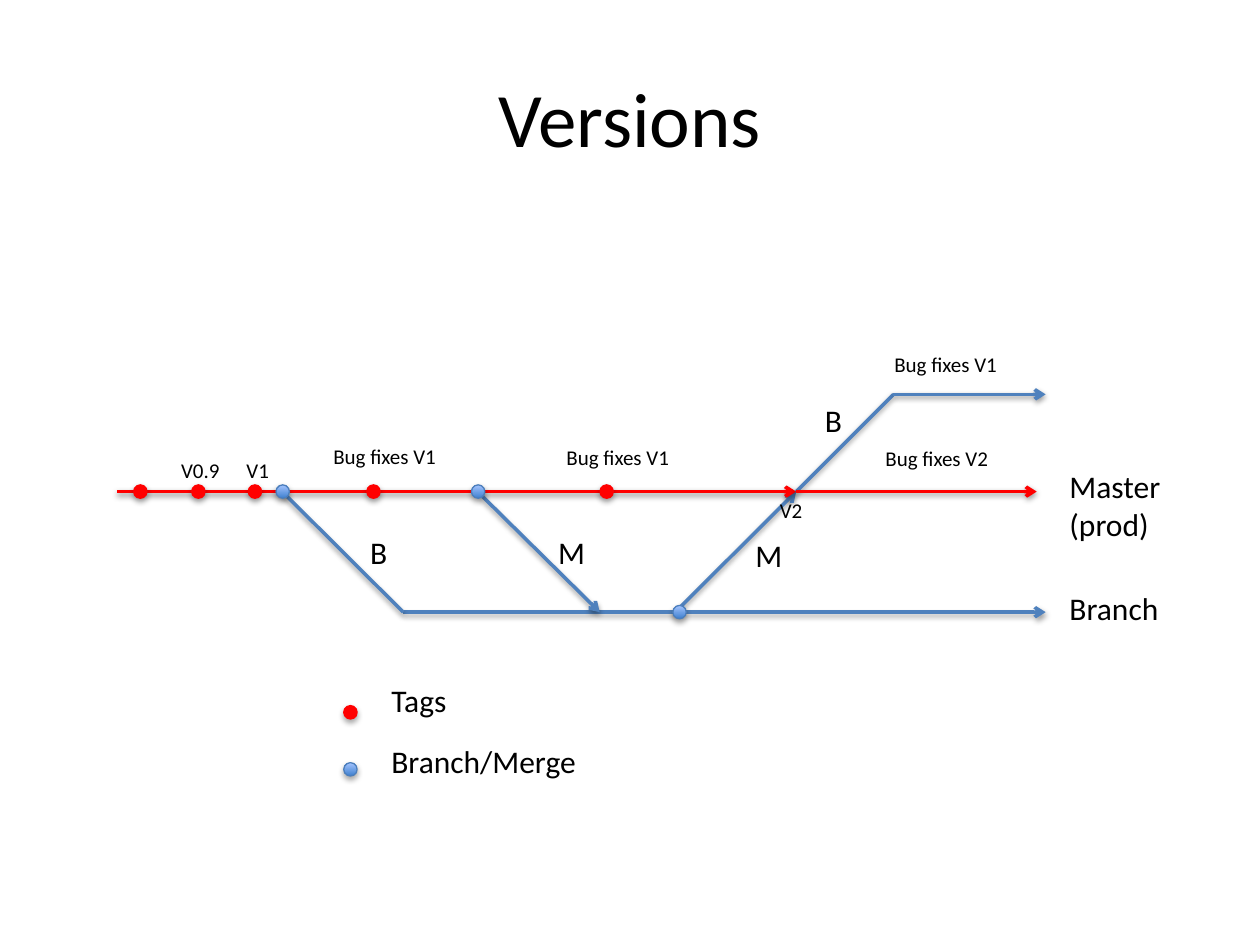
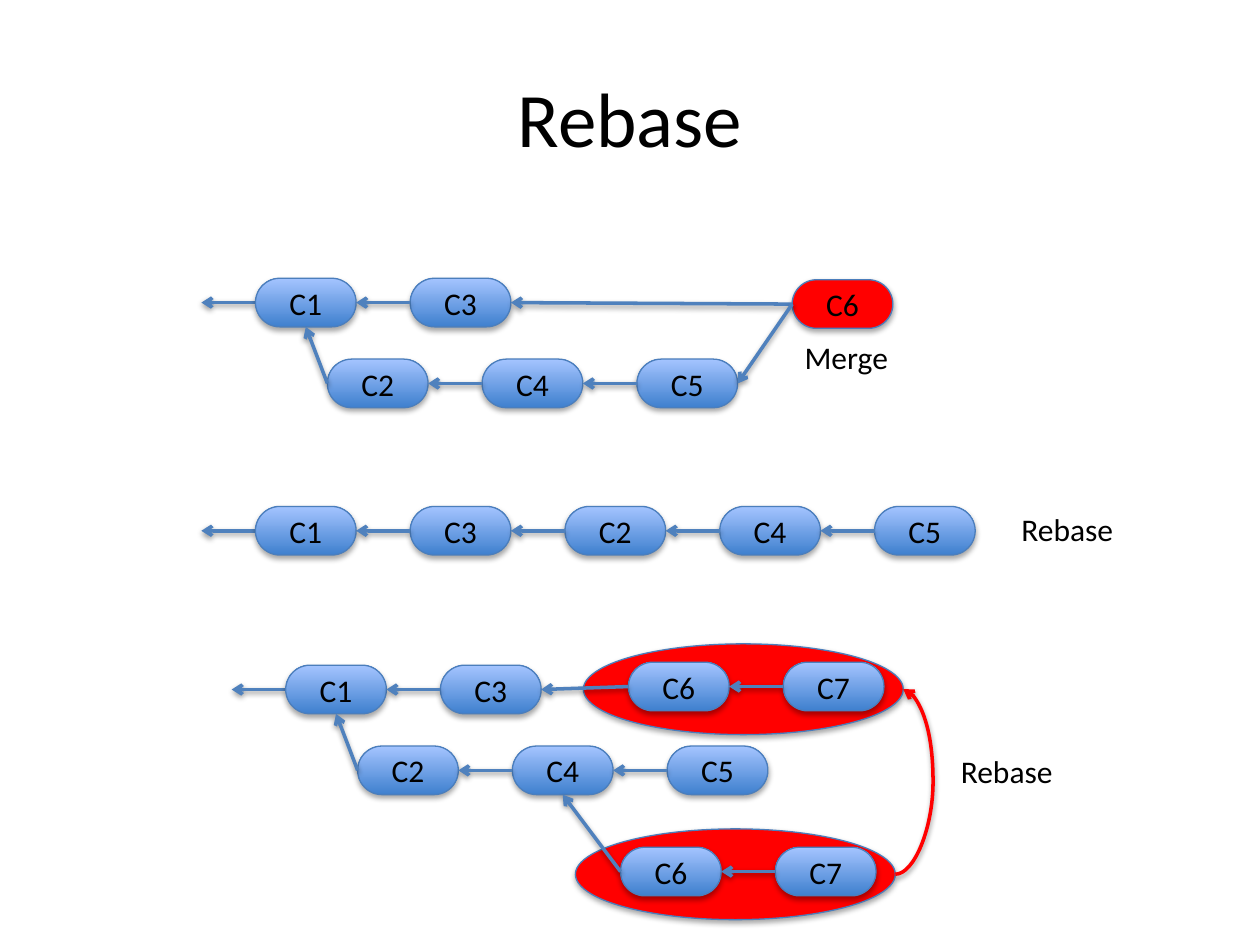
from lxml import etree
from pptx import Presentation
from pptx import util as u
from pptx.dml.color import RGBColor
from pptx.enum import shapes, text
from pptx.oxml.ns import qn

RED, BLUE, EDGE, BLACK = "FF0000", "4F81BD", "4B7EBC", "000000"
DARK, LIGHT = "3F80CE", "A4C4FF"
FONT = "Calibri"
DOT = 0.27
PILL_W, PILL_H, STEP, STUB = 2.03, 0.98, 3.12, 1.09
OVAL_W, OVAL_H = 6.45, 1.83
TOP, LEFT, BOTTOM, RIGHT = range(4)
SHAPE, LINE = shapes.MSO_SHAPE, shapes.MSO_CONNECTOR


def rgb(value):
    """Turn a hex string into a colour."""
    return RGBColor.from_string(value)


def cm(*values):
    """Turn centimetre numbers into lengths."""
    return [u.Cm(v) for v in values]


def child(parent, tag, **attrs):
    """Append a drawing element with its attributes."""
    return etree.SubElement(parent, qn("a:" + tag), {k: str(v) for k, v in attrs.items()})


def add_shadow(effects, distance, alpha):
    """Fill an effect list with one soft shadow below the object."""
    shadow = child(effects, "outerShdw", blurRad=40000, dist=distance, dir=5400000, rotWithShape=0)
    child(child(shadow, "srgbClr", val=BLACK), "alpha", val=alpha * 1000)


def write(tf, content, size, align=None, anchor=None):
    """Write the lines of a text in the shared font."""
    tf.text = content
    if anchor is not None:
        tf.vertical_anchor = anchor
    for p in tf.paragraphs:
        p.alignment = align
        for r in p.runs:
            for name, value in {"size": u.Pt(size), "name": FONT}.items():
                setattr(r.font, name, value)
            r.font.color.rgb = rgb(BLACK)


def label(s, content, x, y, w, size=18, wrap=True):
    """Place a text box sized by its number of lines."""
    lines = content.count("\n") + 1
    tf = s.shapes.add_textbox(*cm(x, y, w, 0.25 + lines * size * 0.0425)).text_frame
    tf.word_wrap = wrap
    write(tf, content, size)


def shape(s, kind, x, y, w, h, fill=None, edge=EDGE):
    """Place a shadowed shape, with the blue gradient unless a fill is named."""
    sp = s.shapes.add_shape(kind, *cm(x, y, w, h))
    if fill:
        sp.fill.solid()
        sp.fill.fore_color.rgb = rgb(fill)
    else:
        sp.fill.gradient()
        sp.fill.gradient_angle = 90
        for stop, colour in zip(sp.fill.gradient_stops, (DARK, LIGHT)):
            stop.color.rgb = rgb(colour)
    sp.line.color.rgb = rgb(edge)
    sp.line.width = u.Pt(0.75)
    sp.shadow.inherit = False
    add_shadow(sp._element.spPr.find(qn("a:effectLst")), 23000, 35)
    return sp


def line(s, start, end, colour=BLUE, head=True, kind=LINE.STRAIGHT):
    """Draw a shadowed connector, with an arrowhead at its end if asked."""
    c = s.shapes.add_connector(kind, *cm(*start, *end))
    c.line.color.rgb = rgb(colour)
    c.line.width = u.Pt(2)
    spPr = c._element.spPr
    if head:
        child(spPr.find(qn("a:ln")), "tailEnd", type="arrow")
    add_shadow(child(spPr, "effectLst"), 20000, 38)
    return c


def link(s, a, a_site, b, b_site):
    """Glue an arrow from one shape to another."""
    c = line(s, (0, 0), (1, 1))
    c.begin_connect(a, a_site)
    c.end_connect(b, b_site)


def dot(s, x, y, is_tag):
    """Centre a red tag dot or a blue branch dot on a point."""
    colours = (RED, RED) if is_tag else (None, EDGE)
    shape(s, SHAPE.OVAL, x - DOT / 2, y - DOT / 2, DOT, DOT, *colours)


def pill(s, name, x, y, fill=None):
    """Place one commit."""
    sp = shape(s, SHAPE.ROUNDED_RECTANGLE, x, y, PILL_W, PILL_H, fill)
    sp.adjustments[0] = 0.5
    write(sp.text_frame, name, 18, text.PP_ALIGN.CENTER, text.MSO_ANCHOR.MIDDLE)
    return sp


def chain(s, names, x, y):
    """Place a row of commits, each pointing at the one before it."""
    pills = [pill(s, name, x + i * STEP, y) for i, name in enumerate(names)]
    for older, newer in zip(pills, pills[1:]):
        link(s, newer, LEFT, older, RIGHT)
    return pills


def trunk(s, names, x, y):
    """Place a row of commits that continues to the left."""
    mid = y + PILL_H / 2
    line(s, (x + STUB, mid), (x, mid))
    return chain(s, names, x + STUB, y)


def fork(s, x, y):
    """Place a trunk and the branch that leaves its first commit."""
    main = trunk(s, ["C1", "C3"], x, y)
    branch = chain(s, ["C2", "C4", "C5"], x + STUB + 1.45, y + 1.63)
    link(s, branch[0], LEFT, main[0], BOTTOM)
    return main, branch


def batch(s, x, y):
    """Place the oval that holds the rebased commits."""
    shape(s, SHAPE.OVAL, x, y, OVAL_W, OVAL_H, RED)
    return chain(s, ["C6", "C7"], x + 0.91, y + 0.37)


def timeline(s, x, y):
    """Draw the master line, its branches, their dots and labels."""
    hotfix, master, branch = y + 0.99, y + 2.95, y + 5.38
    for x1, y1, x2, y2, colour, head in [
        (11.25, branch, 13.69, master, BLUE, True),
        (0, master, 13.69, master, RED, True),
        (5.77, branch, 18.72, branch, BLUE, True),
        (7.37, master + 0.1, 9.73, branch, BLUE, True),
        (5.77, branch, 3.33, master, BLUE, False),
        (13.69, master, 15.65, hotfix, BLUE, False),
        (15.65, hotfix, 18.72, hotfix, BLUE, True),
        (13.69, master, 18.54, master, RED, True),
    ]:
        line(s, (x + x1, y1), (x + x2, y2), colour, head)
    for dx in (0.47, 1.64, 2.78, 5.17, 9.87):
        dot(s, x + dx, master, True)
    for dx, level in ((3.34, master), (7.28, master), (11.34, branch)):
        dot(s, x + dx, level, False)
    for content, dx, dy, w in [
        ("V0.9", 1.04, 2.13, 1.47), ("V1", 2.36, 2.13, 1.17), ("V2", 13.11, 2.95, 1.17),
        ("Bug fixes V1", 4.11, 1.85, 3.3), ("Bug fixes V1", 8.81, 1.88, 3.3),
        ("Bug fixes V1", 15.42, 0, 3.3), ("Bug fixes V2", 15.24, 1.9, 3.3),
    ]:
        label(s, content, x + dx, y + dy, w, size=12)
    for content, dx, dy in [("B", 4.85, 3.66), ("B", 14.02, 0.99),
                            ("M", 8.64, 3.66), ("M", 12.62, 3.73)]:
        label(s, content, x + dx, y + dy, 0.86 if content == "B" else 1.07, wrap=False)
    label(s, "Master\n(prod)", x + 18.95, y + 2.34, 2.82)
    label(s, "Branch", x + 18.95, y + 4.78, 2.82)


def legend(s, x, y):
    """Explain the two kinds of dot."""
    for i, (content, w) in enumerate([("Tags", 1.96), ("Branch/Merge", 5.1)]):
        dot(s, x + DOT / 2, y + 0.75 + i * 1.15, i == 0)
        label(s, content, x + 0.71, y + i * 1.22, w)


def merge_history(s, x, y):
    """Show a branch joined by a merge commit."""
    main, branch = fork(s, x, y)
    merged = pill(s, "C6", x + 11.91, y + 0.03, RED)
    link(s, merged, LEFT, main[-1], RIGHT)
    link(s, merged, LEFT, branch[-1], RIGHT)
    label(s, "Merge", x + 11.91, y + 1.07, 2.21, wrap=False)


def linear_history(s, x, y):
    """Show the branch replayed on the trunk."""
    trunk(s, ["C1", "C3", "C2", "C4", "C5"], x, y)
    label(s, "Rebase", x + 16.28, y - 0.05, 2.39, wrap=False)


def moved_history(s, x, y):
    """Show commits moved from a branch to the trunk."""
    upper, lower = (x + 7.09, y - 0.43), (x + 6.93, y + 3.3)
    main, branch = fork(s, x, y)
    link(s, batch(s, *lower)[0], LEFT, branch[1], BOTTOM)
    link(s, batch(s, *upper)[0], LEFT, main[-1], RIGHT)
    start, end = [(left + OVAL_W, top + OVAL_H / 2) for left, top in (lower, upper)]
    curve = line(s, start, end, RED, kind=LINE.CURVE)
    bend = round(0.76 / (end[0] - start[0]) * 100000)
    guides = curve._element.spPr.find(qn("a:prstGeom")).get_or_add_avLst()
    child(guides, "gd", name="adj1", fmla=f"val {bend}")
    label(s, "Rebase", x + 14.45, y + 1.63, 2.39, wrap=False)


def titled_slide(prs, title):
    """Add a slide with the shared title style."""
    s = prs.slides.add_slide(prs.slide_layouts[5])
    sp = s.shapes.title
    for name, value in zip(("left", "top", "width", "height"), cm(1.27, 0.76, 22.86, 3.18)):
        setattr(sp, name, value)
    write(sp.text_frame, title, 44, text.PP_ALIGN.CENTER, text.MSO_ANCHOR.MIDDLE)
    return s


def main():
    """Build both slides."""
    prs = Presentation()
    prs.slide_width, prs.slide_height = cm(25.4, 19.05)
    versions = titled_slide(prs, "Versions")
    timeline(versions, 2.36, 6.96)
    legend(versions, 6.93, 13.61)
    rebase = titled_slide(prs, "Rebase")
    merge_history(rebase, 4.06, 5.61)
    linear_history(rebase, 4.06, 10.21)
    moved_history(rebase, 4.67, 13.41)
    prs.save("out.pptx")


if __name__ == "__main__":
    main()
